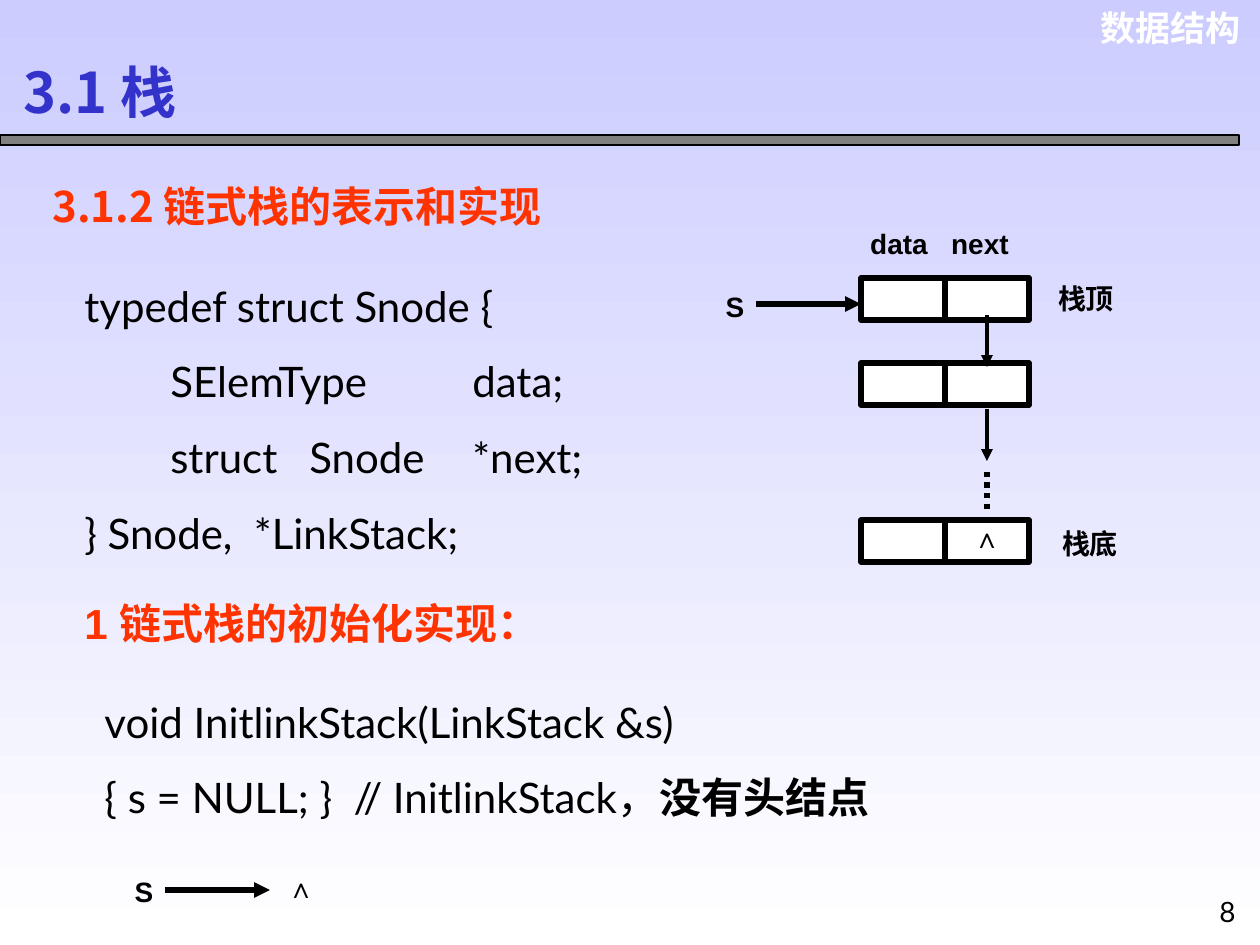
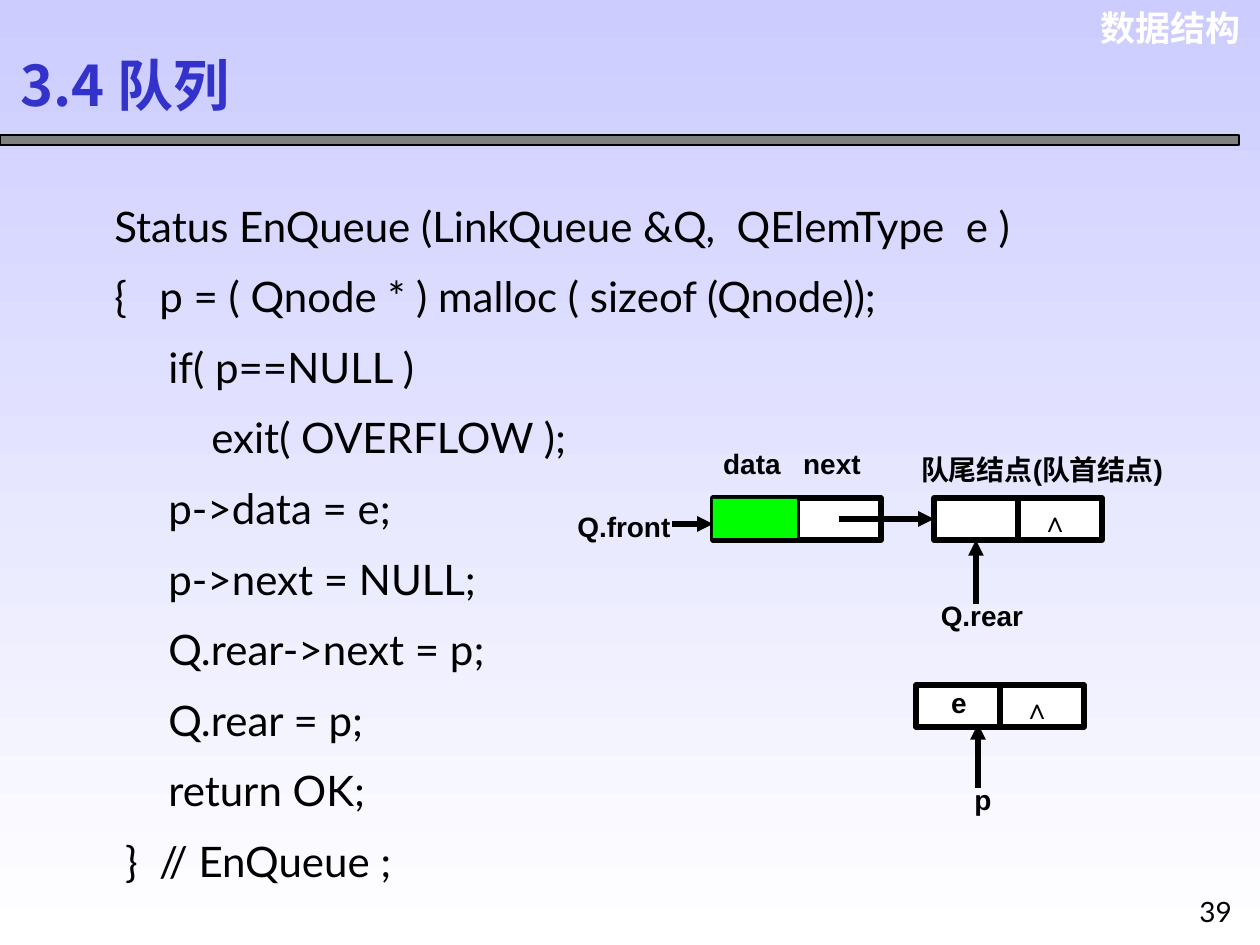
from lxml.etree import SubElement
from pptx import Presentation
from pptx.dml.color import RGBColor
from pptx.enum.dml import MSO_LINE
from pptx.enum.shapes import MSO_CONNECTOR, MSO_SHAPE
from pptx.enum.text import MSO_ANCHOR, PP_ALIGN
from pptx.oxml.ns import qn
from pptx.util import Emu, Pt

PX = 914400 / 126  # EMU per pixel
C = {name: RGBColor.from_string(value) for name, value in {
    "black": "000000", "white": "FFFFFF", "sky": "CCCCFF", "bar": "808080",
    "title": "3333CC", "heading": "FF3300", "data": "00FF00"}.items()}
CJK = "Noto Sans CJK SC"
NODE_W, NODE_H = 168, 42


def put_text(sp, box, lines, size=16, font="Arial", color="black", bold=True,
             align=PP_ALIGN.LEFT, spacing=1.0, stops=()):
    """Place a text shape and fill it; text between ** marks is bold."""
    sp.left, sp.top, sp.width, sp.height = (Emu(round(v * PX)) for v in box)
    tf = sp.text_frame
    tf.word_wrap = True
    for n, line in enumerate(lines):
        p = tf.add_paragraph() if n else tf.paragraphs[0]
        p.alignment, p.line_spacing = align, spacing
        if stops:
            tabs = SubElement(p._p.get_or_add_pPr(), qn("a:tabLst"))
            for stop in stops:
                SubElement(tabs, qn("a:tab"), pos=str(round(stop * PX)), algn="l")
        for i, part in enumerate(line.split("**")):
            if not part:
                continue
            r = p.add_run()
            r.text = part
            r.font.size, r.font.name = Pt(size), font
            r.font.bold = bold or i % 2 == 1
            r.font.color.rgb = C[color]
            SubElement(r._r.get_or_add_rPr(), qn("a:ea"), typeface=CJK)


def add_line(s, x1, y1, x2, y2, width=3, arrow=True):
    """Draw a straight black line, with an arrowhead at its end if asked."""
    ends = (Emu(round(v * PX)) for v in (x1, y1, x2, y2))
    line = s.shapes.add_connector(MSO_CONNECTOR.STRAIGHT, *ends)
    line.line.color.rgb = C["black"]
    line.line.width = Pt(width)
    if arrow:
        SubElement(line.line._get_or_add_ln(), qn("a:tailEnd"), type="triangle")
    SubElement(line._element.spPr, qn("a:effectLst"))
    return line


prs = Presentation()
prs.slide_width, prs.slide_height = Emu(round(1260 * PX)), Emu(round(945 * PX))

# Shared background
fill = prs.slide_master.background.fill
fill.gradient()
fill.gradient_angle = 270
for stop, position, color in zip(fill.gradient_stops, (0, 1), ("sky", "white")):
    stop.position, stop.color.rgb = position, C[color]

# Slides with course name, title, bar and page number
slides = []
for title, title_box, number, number_box in (
        ("3.1 栈", (11, 55, 284, 73), "8", (1207, 888, 44, 53)),
        ("3.4 队列", (8, 38, 450, 93), "39", (1187, 888, 63, 53))):
    s = prs.slides.add_slide(prs.slide_layouts[5])
    slides.append(s)
    put_text(s.shapes.title, title_box, [title], 32, CJK, "title")
    s.shapes.title.text_frame.vertical_anchor = MSO_ANCHOR.MIDDLE
    put_text(s.shapes.add_textbox(0, 0, 0, 0), (1080, 0, 173, 55), ["数据结构"],
             20, color="white", align=PP_ALIGN.RIGHT)
    put_text(s.shapes.add_textbox(0, 0, 0, 0), number_box, [number],
             font="Lato", bold=False)
    bar = s.shapes.add_shape(MSO_SHAPE.RECTANGLE, 0, Emu(round(135 * PX)),
                             Emu(round(1239 * PX)), Emu(round(10 * PX)))
    bar.shadow.inherit = False
    bar.fill.solid()
    bar.fill.fore_color.rgb = C["bar"]
    bar.line.color.rgb = C["black"]
    bar.line.width = Pt(0.75)
stack, queue = slides

# Headings
for box, text, font in (((40, 174, 585, 63), "3.1.2 链式栈的表示和实现", CJK),
                        ((72, 591, 578, 63), "1 链式栈的初始化实现：", "Arial")):
    put_text(stack.shapes.add_textbox(0, 0, 0, 0), box, [text], 24, font, "heading")

# Code listings, indented by tab stops
listings = (
    (stack, (72, 249, 577, 315), 1.5, (86, 225, 388), (
        "typedef struct Snode {",
        "\tSElemType\tdata;",
        "\tstruct\tSnode\t*next;",
        "} Snode,  *LinkStack;")),
    (stack, (92, 665, 1040, 164), 1.5, (), (
        "void InitlinkStack(LinkStack &s)",
        "{ s = NULL; }  // InitlinkStack，**没有头结点**")),
    (queue, (102, 174, 1068, 718), 1.4, (45, 54, 97), (
        "Status EnQueue (LinkQueue &Q,  QElemType  e )",
        "{\tp = ( Qnode * ) malloc ( sizeof (Qnode));",
        "\t\tif( p==NULL )",
        "\t\t\texit( OVERFLOW );",
        "\t\tp->data = e;",
        "\t\tp->next = NULL;",
        "\t\tQ.rear->next = p;",
        "\t\tQ.rear = p;",
        "\t\treturn OK;",
        " }  // EnQueue ;")))
for s, box, spacing, stops, lines in listings:
    put_text(s.shapes.add_textbox(0, 0, 0, 0), box, lines, 24, "Lato",
             bold=False, spacing=spacing, stops=stops)

# List nodes: a box split into data and next; the queue's head has a filled data half
for s, x, y, is_head in ((stack, 861, 278, False), (stack, 861, 363, False),
                         (stack, 861, 520, False), (queue, 713, 498, True),
                         (queue, 934, 498, False), (queue, 916, 685, False)):
    parts = [(y, NODE_W, NODE_H, "white")]
    if is_head:
        parts.append((y + 1, NODE_W / 2, NODE_H - 3, "data"))
    for top, width, height, color in parts:
        sp = s.shapes.add_shape(MSO_SHAPE.RECTANGLE, *(
            Emu(round(v * PX)) for v in (x, top, width, height)))
        sp.shadow.inherit = False
        sp.fill.solid()
        sp.fill.fore_color.rgb = C[color]
        if color == "data":
            sp.line.fill.background()
        else:
            sp.line.color.rgb = C["black"]
            sp.line.width = Pt(3)
            middle = x + NODE_W / 2
            add_line(s, middle, y, middle, y + NODE_H, arrow=False)

# Pointers
for s, x1, y1, x2, y2, width in (
        (stack, 756, 304, 861, 304, 3),
        (stack, 987, 315, 987, 367, 2.25),
        (stack, 987, 409, 987, 461, 2.25),
        (stack, 165, 890, 270, 890, 3),
        (queue, 672, 524, 713, 524, 3),
        (queue, 839, 519, 934, 519, 3),
        (queue, 976, 604, 976, 540, 3),
        (queue, 978, 788, 978, 724, 3)):
    add_line(s, x1, y1, x2, y2, width)
dots = add_line(stack, 987, 472, 987, 514, arrow=False)
dots.line.dash_style = MSO_LINE.ROUND_DOT

# Diagram labels: centre, top, width, text
for s, cx, y, width, text in (
        (stack, 899, 220, 90, "data"), (stack, 980, 220, 90, "next"),
        (stack, 1086, 275, 90, "栈顶"), (stack, 1090, 520, 90, "栈底"),
        (stack, 987, 514, 63, "∧"), (stack, 735, 283, 63, "S"),
        (stack, 301, 864, 63, "∧"), (stack, 144, 868, 63, "S"),
        (queue, 752, 440, 90, "data"), (queue, 832, 440, 90, "next"),
        (queue, 1042, 446, 310, "队尾结点(队首结点)"),
        (queue, 624, 503, 136, "Q.front"), (queue, 982, 592, 136, "Q.rear"),
        (queue, 1055, 498, 73, "∧"), (queue, 1037, 685, 73, "∧"),
        (queue, 983, 776, 136, "p"), (queue, 959, 679, 136, "e")):
    put_text(s.shapes.add_textbox(0, 0, 0, 0), (cx - width / 2, y, width, 47),
             [text], align=PP_ALIGN.CENTER)

prs.save("out.pptx")
